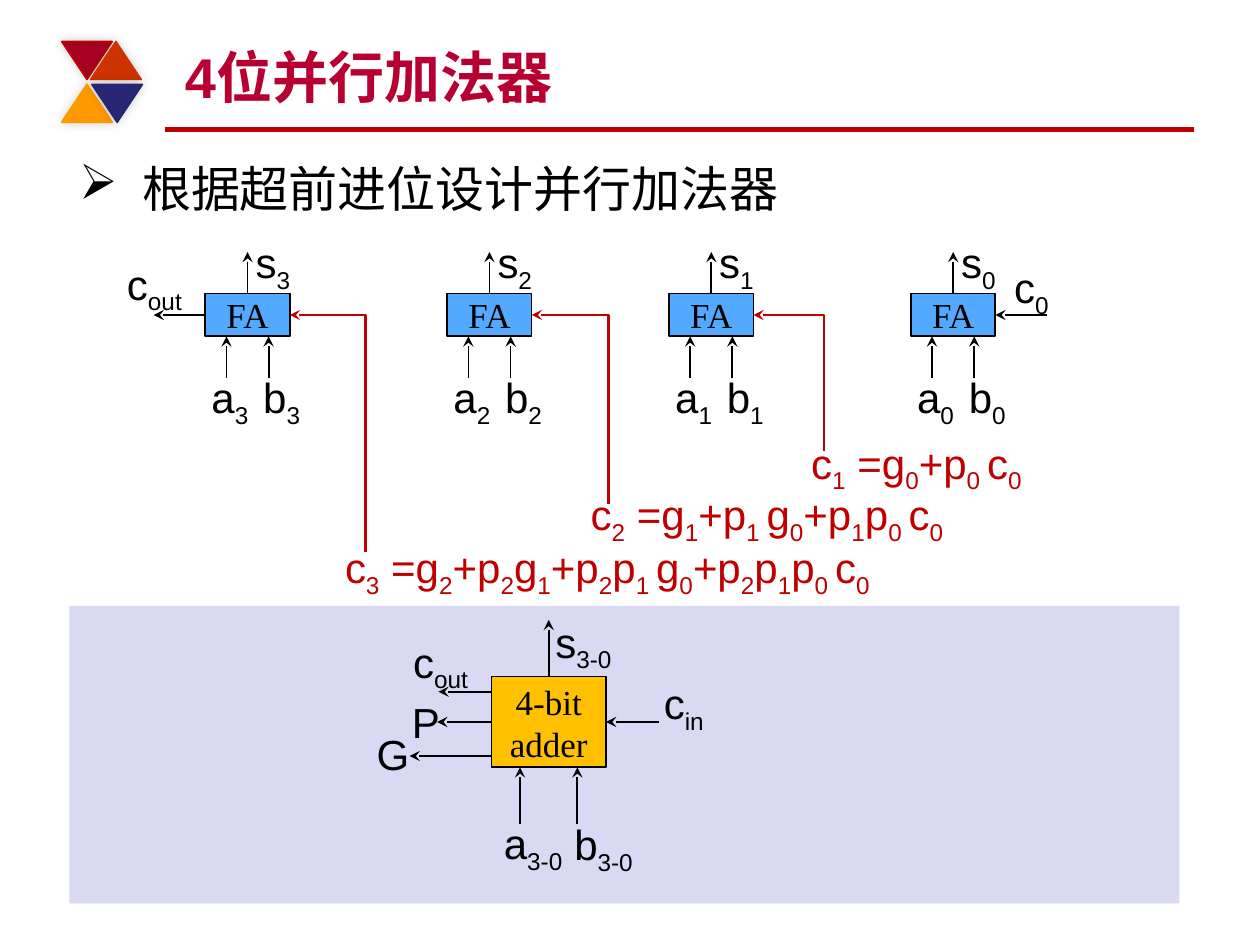
import pptx
import pptx.util
import pptx.dml.color
import pptx.enum.shapes
import pptx.enum.text
import pptx.oxml.ns
from lxml import etree

Inches, Pt = pptx.util.Inches, pptx.util.Pt
MSO = pptx.enum.shapes.MSO_SHAPE
CONN = pptx.enum.shapes.MSO_CONNECTOR
ANCHOR = pptx.enum.text.MSO_ANCHOR
ALIGN = pptx.enum.text.PP_ALIGN
qn = pptx.oxml.ns.qn

BLACK, RED = "000000", "C00000"
TOP, LEFT, BOTTOM, RIGHT = range(4)


def color(value):
    return pptx.dml.color.RGBColor.from_string(value)


class Sheet:
    """Current slide together with its fonts and drawing defaults."""

    sans, serif = "Arial", "Times New Roman"

    def __init__(self, s):
        self.s = s

    def font(self, font, size, rgb=BLACK, name=sans, bold=False):
        font.size, font.name, font.bold = Pt(size), name, bold
        font.color.rgb = color(rgb)

    def shape(self, kind, x, y, w, h, fill, line=None):
        sp = self.s.shapes.add_shape(kind, Inches(x), Inches(y), Inches(w), Inches(h))
        sp.shadow.inherit = False
        sp.fill.solid()
        sp.fill.fore_color.rgb = color(fill)
        if line:
            sp.line.color.rgb = color(line)
            sp.line.width = Pt(1)
        else:
            sp.line.fill.background()
        return sp

    def triangle(self, x, y, fill, line, rotation):
        """Triangle with a soft shadow."""
        sp = self.shape(MSO.ISOSCELES_TRIANGLE, x, y, 0.4, 0.3, fill, line)
        sp.rotation = rotation
        effects = sp._element.spPr.find(qn("a:effectLst"))
        shadow = etree.SubElement(effects, qn("a:outerShdw"), blurRad=str(Pt(6)),
                                  dist="0", dir="18900000", rotWithShape="0")
        rgb = etree.SubElement(shadow, qn("a:srgbClr"), val=BLACK)
        etree.SubElement(rgb, qn("a:alpha"), val="20000")

    def textbox(self, x, y, w, h, text=""):
        tf = self.s.shapes.add_textbox(Inches(x), Inches(y), Inches(w), Inches(h)).text_frame
        tf.word_wrap = True
        tf.text = text
        return tf

    def label(self, x, y, w, text, rgb=BLACK, indent=0):
        """Text whose every second part, split at |, is a subscript."""
        p = self.textbox(x, y, w, 0.5).paragraphs[0]
        if indent:
            p._p.get_or_add_pPr().set("marL", str(Inches(indent)))
        for i, part in enumerate(text.split("|")):
            r = p.add_run()
            r.text = part
            self.font(r.font, 24, rgb)
            if i % 2:
                r._r.get_or_add_rPr().set("baseline", "-25000")

    def line(self, x1, y1, x2, y2, rgb=BLACK, width=1, kind=CONN.STRAIGHT, arrow=True):
        """Connector with its arrowhead at the start."""
        cx = self.s.shapes.add_connector(kind, Inches(x1), Inches(y1), Inches(x2), Inches(y2))
        cx.line.color.rgb = color(rgb)
        cx.line.width = Pt(width)
        if arrow:
            etree.SubElement(cx.line._get_or_add_ln(), qn("a:headEnd"), type="stealth")
        etree.SubElement(cx._element.spPr, qn("a:effectLst"))
        return cx

    def corner(self, x1, y1, x2, y2):
        """Red carry line: across, then down."""
        cx = self.line(x1, y1, x2, y2, RED, 1.5, CONN.ELBOW)
        cx._element.spPr.find(qn("a:prstGeom")).set("prst", "bentConnector2")

    def adder(self, x, y, w, h, text, fill, stem):
        """Adder box with two inputs below and the sum output above."""
        sp = self.shape(MSO.RECTANGLE, x, y, w, h, fill, BLACK)
        tf = sp.text_frame
        tf.word_wrap = True
        tf.vertical_anchor = ANCHOR.MIDDLE
        tf.text = text
        p = tf.paragraphs[0]
        p.alignment = ALIGN.CENTER
        self.font(p.runs[0].font, 20, name=self.serif)
        for share in (0.25, 0.75):
            self.line(x + w * share, y + h, x + w * share, y + h + stem)
        self.line(x + w / 2, y - stem, x + w / 2, y).end_connect(sp, TOP)
        return sp


def draw_frame(sheet):
    sheet.line(1.31, 1.03, 9.48, 1.03, RED, 3, arrow=False)
    for x, y, fill, line, rotation in (
        (0.49, 0.33, "A50021", RED, 180),
        (0.72, 0.33, "CC3300", "CC3300", 0),
        (0.49, 0.67, "FF9900", "FF9900", 0),
        (0.73, 0.67, "262673", "262673", 180),
    ):
        sheet.triangle(x, y, fill, line, rotation)
    sheet.shape(MSO.RECTANGLE, 0.55, 4.81, 8.81, 2.36, "D9D9F3")

    tf = sheet.textbox(0.53, 1.21, 8.95, 1.29, "根据超前进位设计并行加法器")
    p = tf.paragraphs[0]
    pPr = p._p.get_or_add_pPr()
    pPr.set("marL", str(Inches(0.5)))
    pPr.set("indent", str(Inches(-0.5)))
    etree.SubElement(pPr, qn("a:buChar"), char="➢")
    sheet.font(p.runs[0].font, 28)

    tf = sheet.textbox(1.37, 0.25, 8, 0.67, "4位并行加法器")
    tf.vertical_anchor = ANCHOR.BOTTOM
    sheet.font(tf.paragraphs[0].runs[0].font, 32, "B70031", bold=True)


def draw_full_adders(sheet):
    y, w, h = 2.33, 0.67, 0.34
    mid = y + h / 2
    lefts = {3: 1.63, 2: 3.55, 1: 5.31, 0: 7.23}
    boxes = {}
    for bit, x in lefts.items():
        boxes[bit] = sheet.adder(x, y, w, h, "FA", "53A9FF", 0.33)
        sheet.label(x - 0.05, 2.9, 0.61, f"a|{bit}")
        sheet.label(x + 0.36, 2.9, 0.61, f"b|{bit}")
        sheet.label(x + 0.3, 1.83, 0.61, f"s|{bit}")

    sheet.line(1.22, mid, lefts[3], mid).end_connect(boxes[3], LEFT)
    sheet.label(0.91, 2, 0.74, "c|out")
    sheet.line(lefts[0] + w, mid, 8.31, mid).begin_connect(boxes[0], RIGHT)
    sheet.label(7.95, 2.03, 0.61, "c|0")

    carries = (
        (1, 6.54, 3.58, 6.03, 3.42, 2.28, "c|1| =g|0|+p|0 |c|0"),
        (2, 4.83, 4, 4.28, 3.83, 3.95, "c|2| =g|1|+p|1 |g|0|+p|1|p|0 |c|0"),
        (3, 2.9, 4.38, 2.33, 4.25, 6.29,
         "c|3| =g|2|+p|2|g|1|+p|2|p|1 |g|0|+p|2|p|1|p|0 |c|0"),
    )
    for bit, end_x, end_y, x, top, width, equation in carries:
        sheet.label(x, top, width, equation, RED, 0.31)
        sheet.corner(lefts[bit] + w, mid, end_x, end_y)


def draw_four_bit_adder(sheet):
    x, y, w, h = 3.9, 5.37, 0.91, 0.72
    mid = y + h / 2
    box = sheet.adder(x, y, w, h, "4-bit adder", "FFC000", 0.45)
    sheet.line(x + w, mid, 5.23, mid).begin_connect(box, RIGHT)
    sheet.line(3.48, 5.49, x, 5.49)
    sheet.line(3.47, mid, x, mid).end_connect(box, LEFT)
    sheet.line(3.25, 6, x, 6)
    for left, top, width, text in (
        (3.9, 6.44, 0.81, "a|3-0"), (4.46, 6.45, 0.97, "b|3-0"),
        (4.31, 4.84, 1, "s|3-0"), (5.17, 5.33, 0.61, "c|in"),
        (3.18, 5, 0.74, "c|out"), (3.17, 5.48, 0.5, "P"), (2.89, 5.73, 0.5, "G"),
    ):
        sheet.label(left, top, width, text)


def main():
    prs = pptx.Presentation()
    prs.slide_width, prs.slide_height = Inches(10), Inches(7.5)
    sheet = Sheet(prs.slides.add_slide(prs.slide_layouts[6]))
    draw_frame(sheet)
    draw_full_adders(sheet)
    draw_four_bit_adder(sheet)
    prs.save("out.pptx")


if __name__ == "__main__":
    main()
